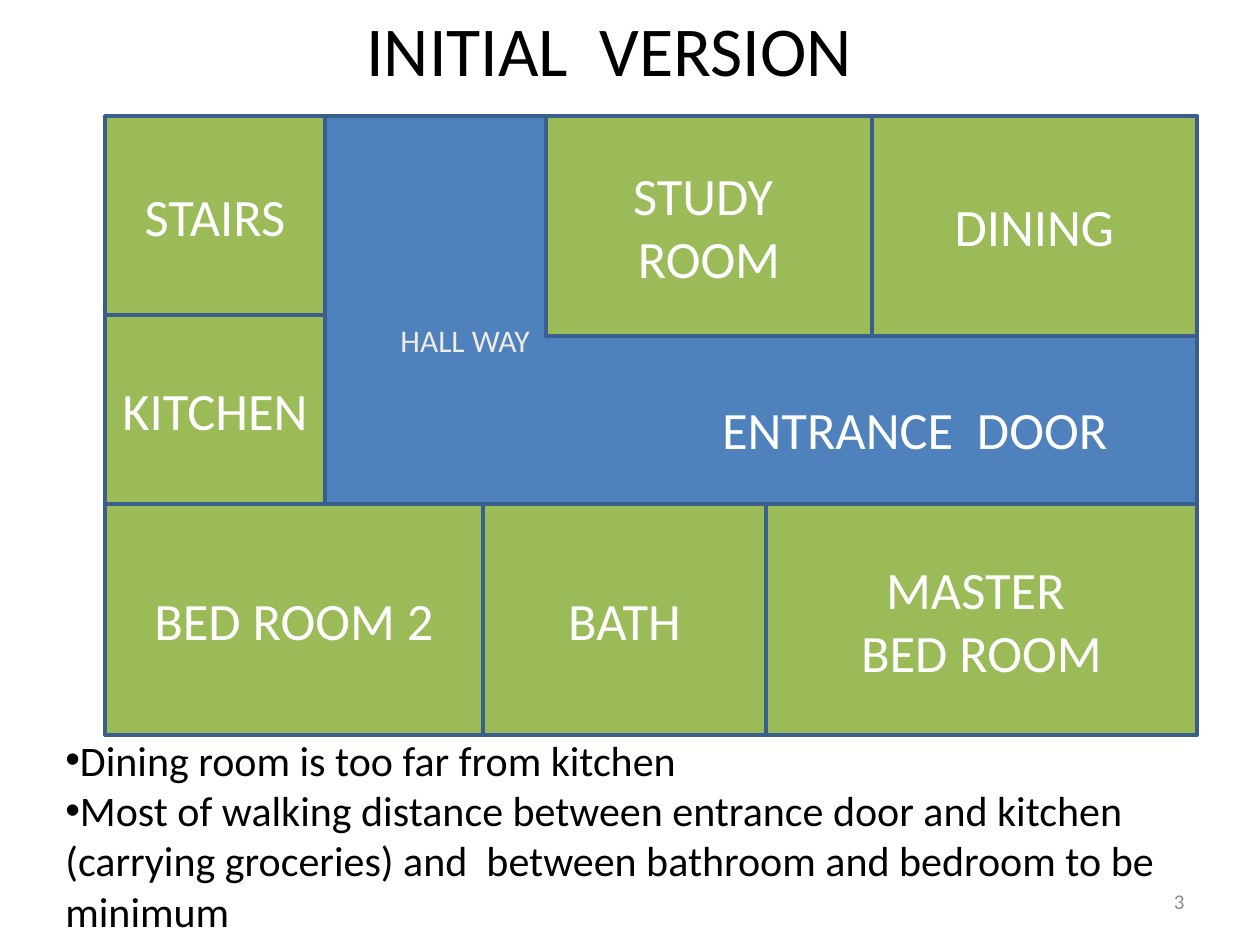
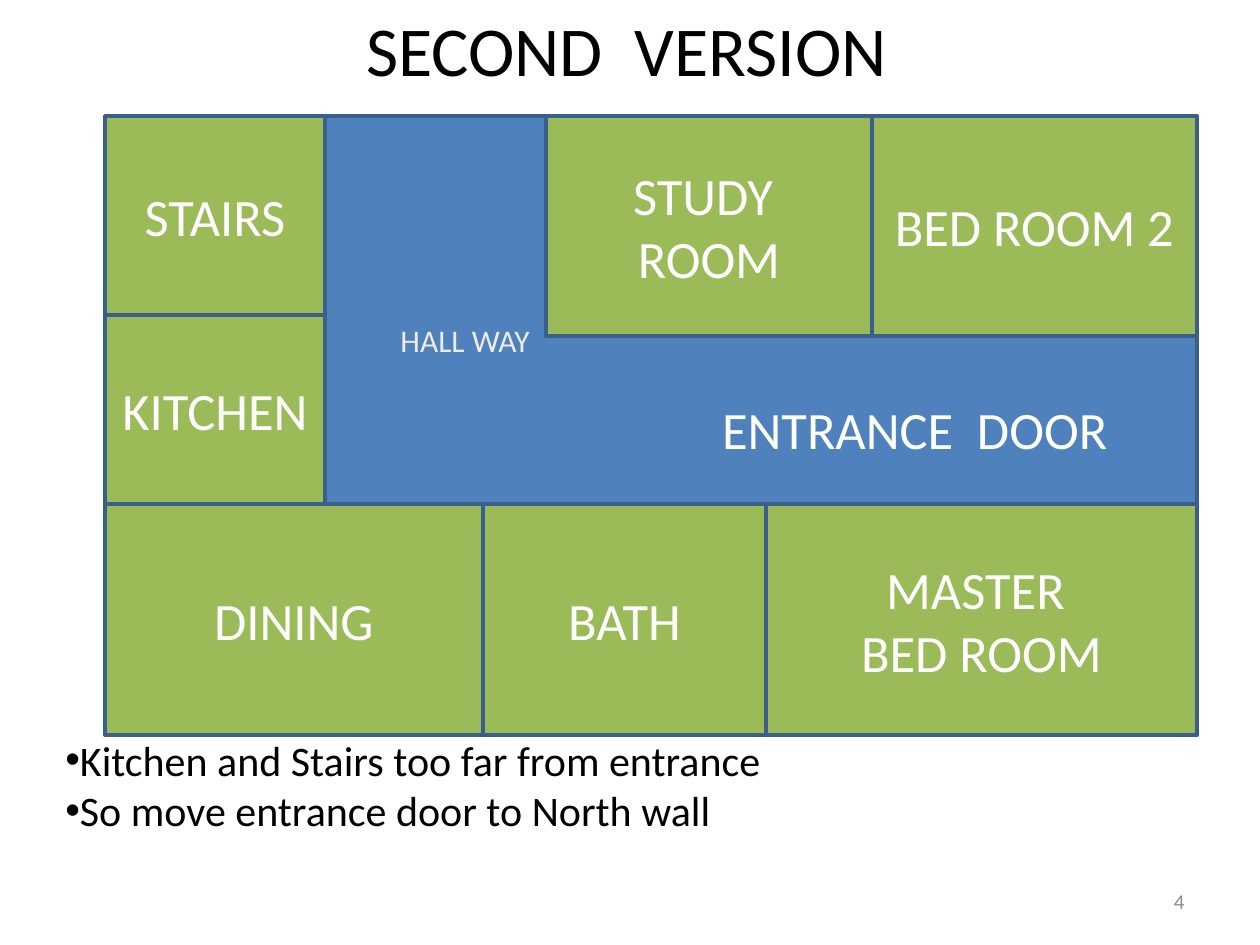
"""Build two slides that compare versions of a house floor plan."""
from dataclasses import dataclass

from lxml import etree
from pptx import Presentation
from pptx.dml.color import RGBColor
from pptx.enum.shapes import MSO_SHAPE
from pptx.enum.text import MSO_ANCHOR, MSO_AUTO_SIZE, PP_ALIGN
from pptx.oxml.ns import qn
from pptx.util import Emu, Pt

RECT = MSO_SHAPE.RECTANGLE
MIDDLE, TOP = MSO_ANCHOR.MIDDLE, MSO_ANCHOR.TOP
LEFT, CENTER, RIGHT = PP_ALIGN.LEFT, PP_ALIGN.CENTER, PP_ALIGN.RIGHT
FIT = MSO_AUTO_SIZE.SHAPE_TO_FIT_TEXT
BLANK = 6
EMU_PER_PX = 914400 / 126


@dataclass(frozen=True)
class Theme:
    """Colours, font and type sizes that the slides share."""
    font: str = "Calibri"
    hall: str = "4F81BD"
    room: str = "9BBB59"
    wall: str = "3A5F8C"
    white: str = "FFFFFF"
    cream: str = "EEECE1"
    black: str = "000000"
    grey: str = "8C8C8C"
    title_size: int = 40
    room_size: int = 30
    note_size: int = 24
    hall_size: int = 18
    number_size: int = 12
    wall_width: int = 2


THEME = Theme()

WEST, HALL_W, STUDY_W, DINING_W, EAST = 105, 325, 546, 872, 1197
BATH_W, MASTER_W = 483, 766
NORTH, STAIRS_S, STUDY_S, HALL_S, SOUTH = 116, 315, 336, 504, 735


def px(n):
    """Turn pixels into EMU."""
    return Emu(round(n * EMU_PER_PX))


def write(tf, lines, size, color, align=LEFT, anchor=TOP):
    """Fill a text frame with one paragraph per line."""
    tf.vertical_anchor = anchor
    for i, line in enumerate(lines):
        p = tf.paragraphs[0] if i == 0 else tf.add_paragraph()
        p.text = line
        p.alignment = align
        p.font.name = THEME.font
        p.font.size = Pt(size)
        p.font.color.rgb = RGBColor.from_string(color)


def add_block(s, edges, fill, text):
    """Draw a walled area from its west, north, east and south edges."""
    west, north, east, south = edges
    sp = s.shapes.add_shape(RECT, px(west), px(north), px(east - west), px(south - north))
    sp.shadow.inherit = False
    sp.fill.solid()
    sp.fill.fore_color.rgb = RGBColor.from_string(fill)
    sp.line.color.rgb = RGBColor.from_string(THEME.wall)
    sp.line.width = Pt(THEME.wall_width)
    write(sp.text_frame, text.split("\n"), THEME.room_size, THEME.white, CENTER, MIDDLE)
    return sp


def add_text(s, box, lines, size, color, wrap=True, align=LEFT, anchor=TOP, fit=True):
    """Place a text box and return its frame."""
    tf = s.shapes.add_textbox(*map(px, box)).text_frame
    tf.word_wrap = wrap
    if fit:
        tf.auto_size = FIT
    write(tf, lines, size, color, align, anchor)
    return tf


def add_bullets(tf):
    """Give every paragraph a bullet without a hanging indent."""
    for p in tf.paragraphs:
        props = p._p.get_or_add_pPr()
        etree.SubElement(props, qn("a:buFont")).set("typeface", "Arial")
        etree.SubElement(props, qn("a:buChar")).set("char", "•")


def add_plan(s, southwest, northeast):
    """Draw the hall and its rooms; two corner rooms vary by version."""
    hall = add_block(s, (WEST, NORTH, EAST, SOUTH), THEME.hall, "ENTRANCE  DOOR")
    hall.text_frame.margin_left = px(540)
    hall.text_frame.margin_top = px(12)
    rooms = [
        ("STAIRS", (WEST, NORTH, HALL_W, STAIRS_S)),
        ("KITCHEN", (WEST, STAIRS_S, HALL_W, HALL_S)),
        (southwest, (WEST, HALL_S, BATH_W, SOUTH)),
        ("BATH", (BATH_W, HALL_S, MASTER_W, SOUTH)),
        ("MASTER \nBED ROOM", (MASTER_W, HALL_S, EAST, SOUTH)),
        ("STUDY \nROOM", (STUDY_W, NORTH, DINING_W, STUDY_S)),
        (northeast, (DINING_W, NORTH, EAST, STUDY_S)),
    ]
    for name, edges in rooms:
        add_block(s, edges, THEME.room, name)
    add_text(s, (388, STAIRS_S, 156, 50), ["HALL WAY"], THEME.hall_size,
             THEME.cream, wrap=False)


def add_version(prs, number, title, title_width, corners, notes, notes_height):
    """Add one slide with title, plan, notes and slide number."""
    s = prs.slides.add_slide(prs.slide_layouts[BLANK])
    add_plan(s, *corners)
    add_text(s, (354, 0, title_width, 97), [title], THEME.title_size,
             THEME.black, wrap=False)
    add_bullets(add_text(s, (53, 728, 1148, notes_height), notes,
                         THEME.note_size, THEME.black))
    add_text(s, (903, 876, 294, 50), [str(number)], THEME.number_size,
             THEME.grey, align=RIGHT, anchor=MIDDLE, fit=False)


def main():
    """Build and save the presentation."""
    prs = Presentation()
    prs.slide_width, prs.slide_height = px(1260), px(945)
    add_version(prs, 3, "INITIAL  VERSION", 517, ("BED ROOM 2", "DINING"), [
        "Dining room is too far from kitchen",
        "Most of walking distance between entrance door and kitchen "
        "(carrying groceries) and  between bathroom and bedroom to be minimum",
    ], 217)
    add_version(prs, 4, "SECOND  VERSION", 552, ("DINING", "BED ROOM 2"), [
        "Kitchen and Stairs too far from entrance",
        "So move entrance door to North wall",
    ], 115)
    prs.save("out.pptx")


main()
